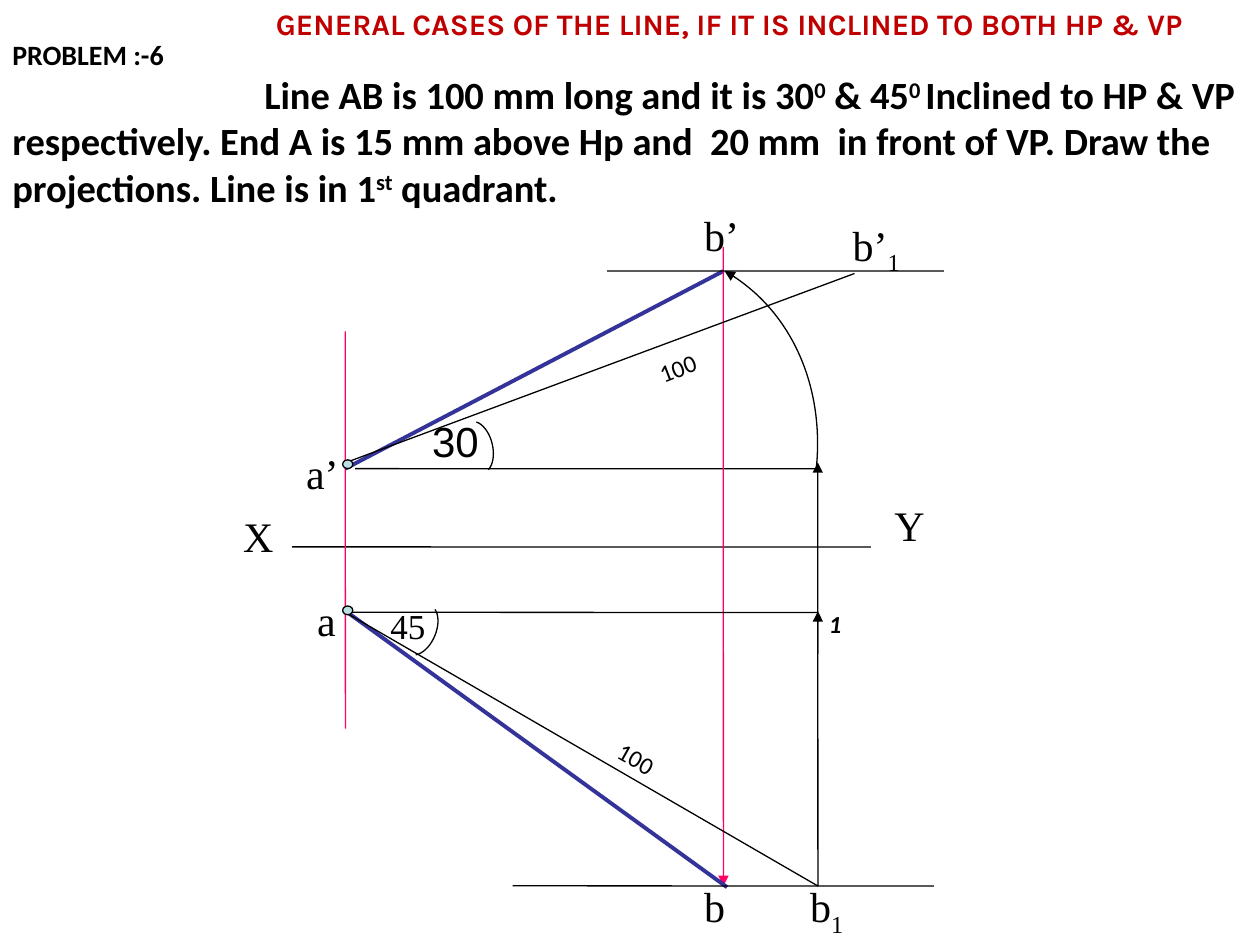
from lxml.etree import SubElement as Sub
from pptx import Presentation
from pptx.dml.color import RGBColor
from pptx.enum.shapes import MSO_CONNECTOR as Conn, MSO_SHAPE as Kind
from pptx.enum.text import MSO_AUTO_SIZE as Fit, PP_ALIGN as Align
from pptx.oxml.ns import qn
from pptx.util import Pt

BLACK = RGBColor(0x00, 0x00, 0x00)
RED = RGBColor(0xC0, 0x00, 0x00)
PINK = RGBColor(0xFF, 0x00, 0x66)
BLUE = RGBColor(0x33, 0x33, 0x99)
PALE = RGBColor(0xBB, 0xE0, 0xE3)
TIMES = "Times New Roman"

deck = Presentation()
deck.slide_width, deck.slide_height = Pt(720), Pt(540)
slide = deck.slides.add_slide(deck.slide_layouts[6])
shapes = slide.shapes


def ink(item, color=BLACK, width=0.75, end=None):
    """Style an outline; end names the end that carries an arrowhead."""
    item.line.color.rgb = color
    item.line.width = Pt(width)
    if end:
        Sub(item.line._get_or_add_ln(), qn("a:" + end), type="triangle")


def write(box, paras, wrap=False, turn=0):
    """Add a text box; each paragraph is (runs, format), each run (text, baseline)."""
    item = shapes.add_textbox(*map(Pt, box))
    item.rotation = turn
    frame = item.text_frame
    frame.word_wrap = wrap
    frame.auto_size = Fit.SHAPE_TO_FIT_TEXT
    for i, (runs, form) in enumerate(paras):
        para = frame.add_paragraph() if i else frame.paragraphs[0]
        for text, base in runs:
            run = para.add_run()
            run.text = text
            run.font.color.rgb = form.get("color", BLACK)
            for key in ("name", "size", "bold", "italic"):
                if key in form:
                    setattr(run.font, key, form[key])
            if base:
                run._r.get_or_add_rPr().set("baseline", str(base * 1000))
    return frame


# Shared columns and levels of the drawing
XA, XB, XB1 = 197.3, 413.3, 467.3
TOP, FRONT, AXIS, PLAN, LOW = 154.8, 267.8, 312.5, 349.9, 506.2
SKEW = 0.1  # tiny slope that keeps thin lines evenly drawn

# Angle marks
for x, y, turn in ((263.5, 240.5, 346), (231.1, 344.9, 23)):
    mark = shapes.add_shape(Kind.ARC, Pt(x), Pt(y), Pt(18), Pt(30.2))
    mark.adjustments[0] = 283 * 0.6
    mark.adjustments[1] = 77 * 0.6
    mark.rotation = turn
    mark.shadow.inherit = False
    mark.fill.background()
    ink(mark)

# Axis, loci, projectors and views of the line
lines = [
    (167, AXIS, 497.5, AXIS, {}),
    (XA, 189.4, XA, 416.2, {"color": PINK}),
    (203, FRONT, XB1, FRONT, {}),
    (XA, FRONT, XB, TOP, {"color": BLUE, "width": 2.25}),
    (XB, 141.1, XB, LOW, {"color": PINK, "end": "tailEnd"}),
    (196.6, 348.5, 415.4, 506.9, {"color": BLUE, "width": 2.25}),
    (293, LOW, 533.5, LOW, {}),
    (XB1, 264.2, XB1, LOW, {"end": "headEnd"}),
    (XA, PLAN, XB1, PLAN, {}),
    (XA, PLAN, XB1, LOW, {}),
    (198, 264.2, 488.2, 156.2, {}),
    (347, TOP, 539.3, TOP, {}),
    (XB1, 373.7, XB1, 349.2, {"end": "tailEnd"}),
]
for x1, y1, x2, y2, form in lines:
    line = shapes.add_connector(
        Conn.STRAIGHT, Pt(x1), Pt(y1), Pt(x2 + SKEW), Pt(y2 + SKEW))
    ink(line, **form)
    Sub(line._element.spPr, qn("a:effectLst"))

# Swing from b1 level up to b': the last three points become one Bezier curve
pen = shapes.build_freeform(Pt(414), Pt(TOP))
pen.add_line_segments(
    [(Pt(450), Pt(175)), (Pt(470.9), Pt(219.6)), (Pt(466.6), Pt(266.4))], close=False)
swing = pen.convert_to_shape()
swing.shadow.inherit = False
swing.fill.background()
ink(swing, end="headEnd")
track = next(swing._element.iter(qn("a:path")))
steps = track.findall(qn("a:lnTo"))
curve = Sub(track, qn("a:cubicBezTo"))
for step in steps:
    curve.append(step[0])
    track.remove(step)

# End points a' and a
for y in (262.8, 346.3):
    dot = shapes.add_shape(Kind.OVAL, Pt(195.8), Pt(y), Pt(5.8), Pt(5))
    dot.shadow.inherit = False
    dot.fill.solid()
    dot.fill.fore_color.rgb = PALE
    ink(dot)

# Point names, angles and lengths
name = {"name": TIMES, "size": Pt(24)}
note = {"name": "Calibri", "size": Pt(14)}
labels = [
    ("a’", "", (167.8, 252, 33.1, 36), name, 0),
    ("b’", "", (395.3, 115.9, 34.6, 36), name, 0),
    ("a", "", (174.2, 336.2, 25.2, 36), name, 0),
    ("b", "", (395.3, 499.7, 25.9, 36), name, 0),
    ("X", "", (131.8, 288, 41.8, 36), name, 0),
    ("Y", "", (504, 282.2, 31.7, 36), name, 0),
    ("b’", "1", (480.2, 121.7, 46, 40.3), name, 0),
    ("b", "1", (455.8, 499.7, 34, 40.3), name, 0),
    ("45", "", (216, 342, 34.6, 31.7), {"name": TIMES, "size": Pt(20)}, 0),
    ("30", "", (239.8, 234, 41.8, 36.7), {"name": "Arial", "size": Pt(24)}, 0),
    ("1", "", (466.6, 344.2, 21.6, 23.8), {**note, "bold": True, "italic": True}, 0),
    ("100", "", (369.4, 198, 37.4, 24.5), note, 339),
    ("100", "", (345.6, 421.9, 37.4, 24.5), note, 29.3),
]
for text, sub, box, form, turn in labels:
    runs = [(text, 0)] + ([(sub, -25)] if sub else [])
    write(box, [(runs, form)], turn=turn)

# Heading
head = write(
    (113.8, 0, 606.2, 28.1),
    [([("GENERAL CASES OF THE LINE, IF IT IS INCLINED TO BOTH HP & VP", 0)],
      {"name": "Karla", "size": Pt(17), "bold": True, "color": RED})],
    wrap=True)
head.paragraphs[0].alignment = Align.CENTER

# Problem statement
bold = {"name": "Calibri", "bold": True}
task = [
    ("Line AB is 100 mm long and it is 30", 0), ("0", 30),
    (" & 45", 0), ("0 ", 30),
    ("Inclined to HP & VP respectively. End A is 15 mm above Hp and  20 mm  "
     "in front of VP. Draw the projections. Line is in 1", 0),
    ("st", 30), (" quadrant.", 0),
]
body = write(
    (0, 18, 720, 106.6),
    [([("PROBLEM :-6", 0)], {**bold, "size": Pt(16)}),
     (task, {**bold, "size": Pt(22)})],
    wrap=True)
body.paragraphs[1]._p.get_or_add_pPr().set("indent", str(Pt(144)))

deck.save("out.pptx")
